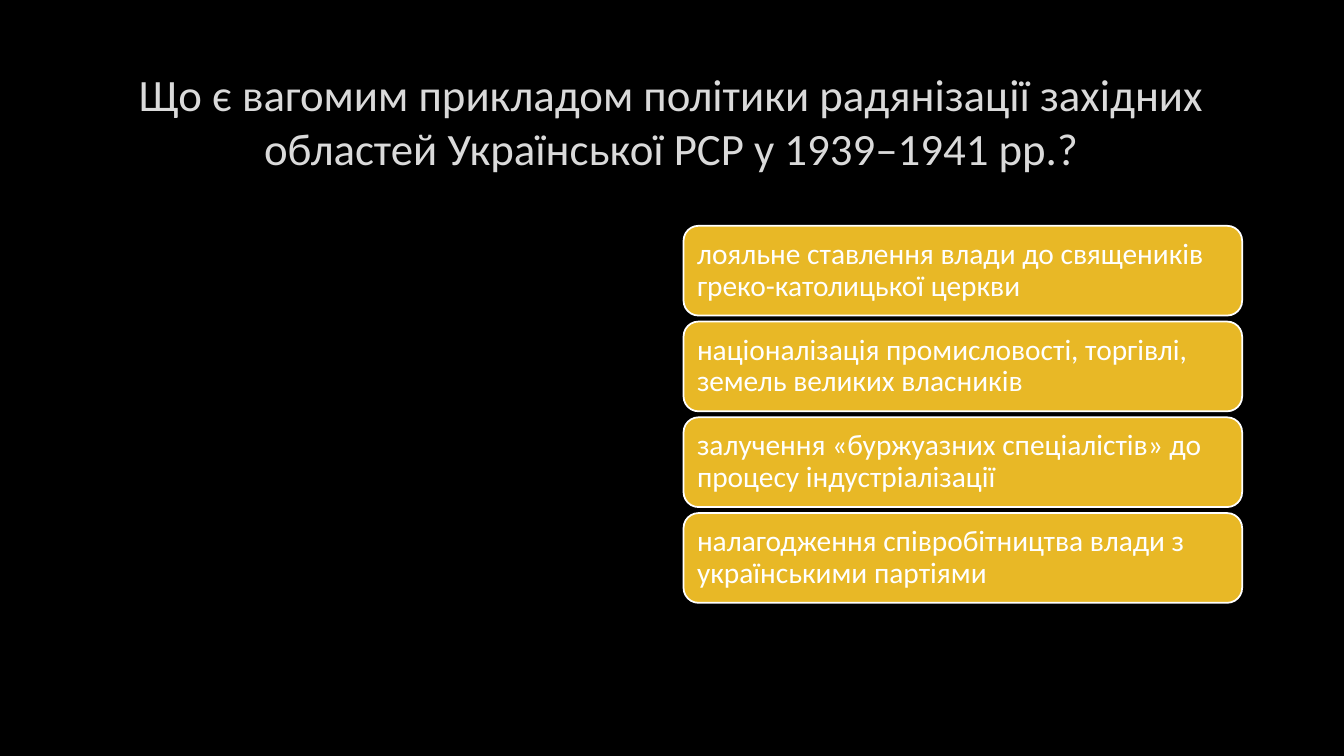
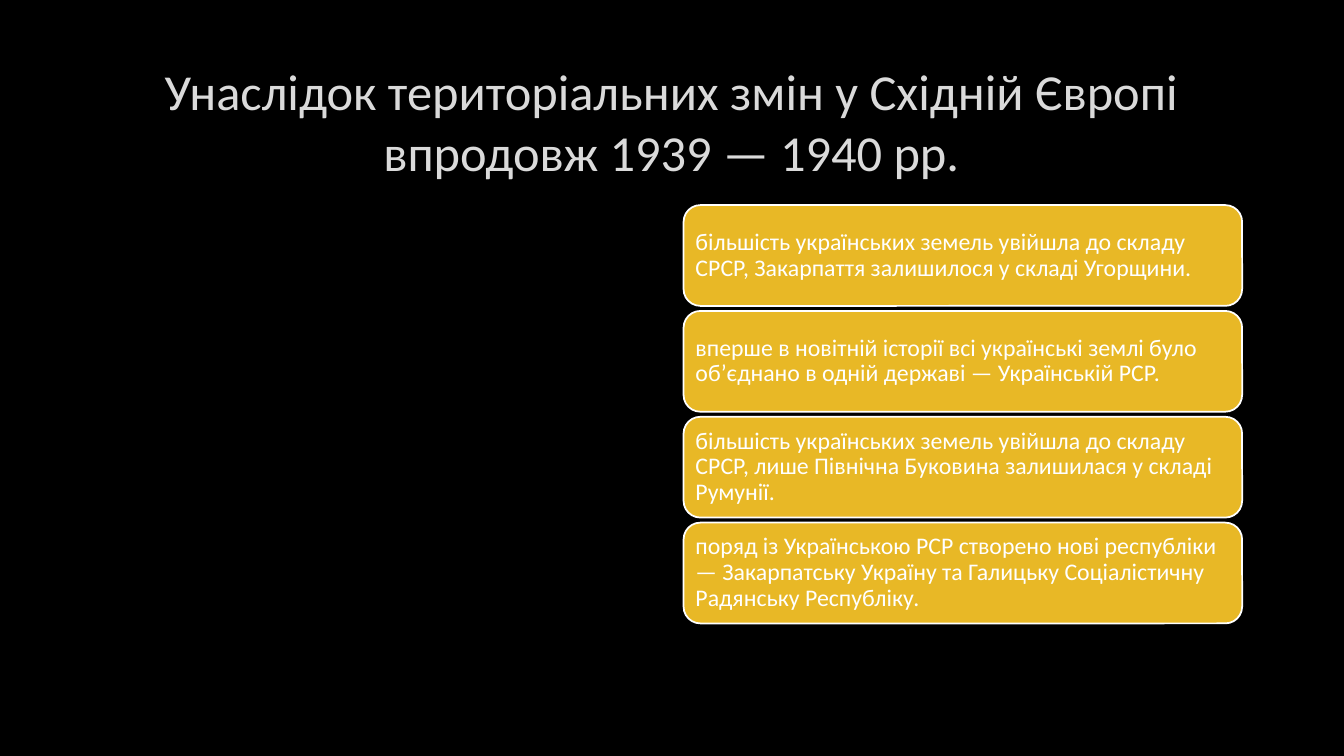
"""Build two quiz slides: a centred question above a column of answer cards."""
from dataclasses import dataclass

from lxml import etree
from pptx import Presentation
from pptx.dml.color import RGBColor
from pptx.enum.shapes import MSO_SHAPE as SHAPE
from pptx.enum.text import MSO_ANCHOR as ANCHOR, PP_ALIGN as ALIGN
from pptx.oxml.ns import qn
from pptx.util import Inches, Pt

BLACK = RGBColor(0x00, 0x00, 0x00)
WHITE = RGBColor(0xFF, 0xFF, 0xFF)
GOLD = RGBColor(0xE8, 0xB8, 0x26)
SILVER = RGBColor(0xDA, 0xDA, 0xDA)
OUTLINE = RGBColor(0x40, 0x40, 0x40)
FONT = "Calibri"
CARD_LEFT, CARD_WIDTH, STACK_MIDDLE = 6.78, 5.54, 4.11


@dataclass(frozen=True)
class Quiz:
    question: str
    question_size: int
    answers: tuple[str, ...]
    answer_size: int
    card_height: float
    gap: float
    inset: float


QUIZZES = (
    Quiz(
        "Що є вагомим прикладом політики радянізації західних областей Української РСР у 1939–1941 рр.?",
        32,
        (
            "лояльне ставлення влади до священиків греко-католицької церкви",
            "націоналізація промисловості, торгівлі, земель великих власників",
            "залучення «буржуазних спеціалістів» до процесу індустріалізації",
            "налагодження співробітництва влади з українськими партіями",
        ),
        21, card_height=0.89, gap=0.06, inset=0.09,
    ),
    Quiz(
        "Унаслідок територіальних змін у Східній Європі впродовж 1939 — 1940 рр.",
        36,
        (
            "більшість українських земель увійшла до складу СРСР, Закарпаття залишилося у складі Угорщини.",
            "вперше в новітній історії всі українські землі було об’єднано в одній державі — Українській РСР.",
            "більшість українських земель увійшла до складу СРСР, лише Північна Буковина залишилася у складі Румунії.",
            "поряд із Українською РСР створено нові республіки — Закарпатську Україну та Галицьку Соціалістичну "
            "Радянську Республіку.",
        ),
        17, card_height=1, gap=0.05, inset=0.07,
    ),
)


def set_text(sp, text: str, size: int, color: RGBColor, frame: dict, para: dict):
    """Write one formatted paragraph into a shape and return its run."""
    tf = sp.text_frame
    p = tf.paragraphs[0]
    r = p.add_run()
    r.text = text
    r.font.color.rgb = color
    font = {"name": FONT, "size": Pt(size)}
    frame = {"word_wrap": True, "vertical_anchor": ANCHOR.MIDDLE, **frame}
    for target, formats in ((tf, frame), (p, para), (r.font, font)):
        for name, value in formats.items():
            setattr(target, name, value)
    return r


def outline_text(r) -> None:
    """Give a run a thin, nearly transparent outline."""
    ln = etree.Element(qn("a:ln"), w=str(Pt(0.75)))
    fill = etree.SubElement(ln, qn("a:solidFill"))
    clr = etree.SubElement(fill, qn("a:srgbClr"), val=str(OUTLINE))
    etree.SubElement(clr, qn("a:alpha"), val="10000")
    r.font._element.insert(0, ln)


def add_title(s, text: str, size: int) -> None:
    """Add the centred question."""
    sp = s.shapes.add_textbox(Inches(1), Inches(0.67), Inches(11.32), Inches(1.06))
    outline_text(set_text(sp, text, size, SILVER, {}, {"alignment": ALIGN.CENTER}))


def add_card(s, text: str, top: float, quiz: Quiz) -> None:
    """Add one rounded answer card."""
    sp = s.shapes.add_shape(
        SHAPE.ROUNDED_RECTANGLE,
        Inches(CARD_LEFT), Inches(top), Inches(CARD_WIDTH), Inches(quiz.card_height),
    )
    sp.shadow.inherit = False
    sp.fill.solid()
    sp.fill.fore_color.rgb = GOLD
    sp.line.color.rgb = WHITE
    sp.line.width = Pt(1.25)
    margins = {f"margin_{side}": Inches(quiz.inset) for side in ("left", "top", "right", "bottom")}
    set_text(sp, text, quiz.answer_size, WHITE, margins,
             {"alignment": ALIGN.LEFT, "line_spacing": 0.9})


def add_quiz(prs, quiz: Quiz) -> None:
    """Add a slide with its question and vertically centred answers."""
    s = prs.slides.add_slide(prs.slide_layouts[6])
    s.background.fill.solid()
    s.background.fill.fore_color.rgb = BLACK
    add_title(s, quiz.question, quiz.question_size)
    pitch = quiz.card_height + quiz.gap
    top = STACK_MIDDLE - (len(quiz.answers) * pitch - quiz.gap) / 2
    for i, answer in enumerate(quiz.answers):
        add_card(s, answer, top + i * pitch, quiz)


def main() -> None:
    """Build and save the presentation."""
    prs = Presentation()
    prs.slide_width, prs.slide_height = Inches(13.33), Inches(7.5)
    for quiz in QUIZZES:
        add_quiz(prs, quiz)
    prs.save("out.pptx")


if __name__ == "__main__":
    main()
